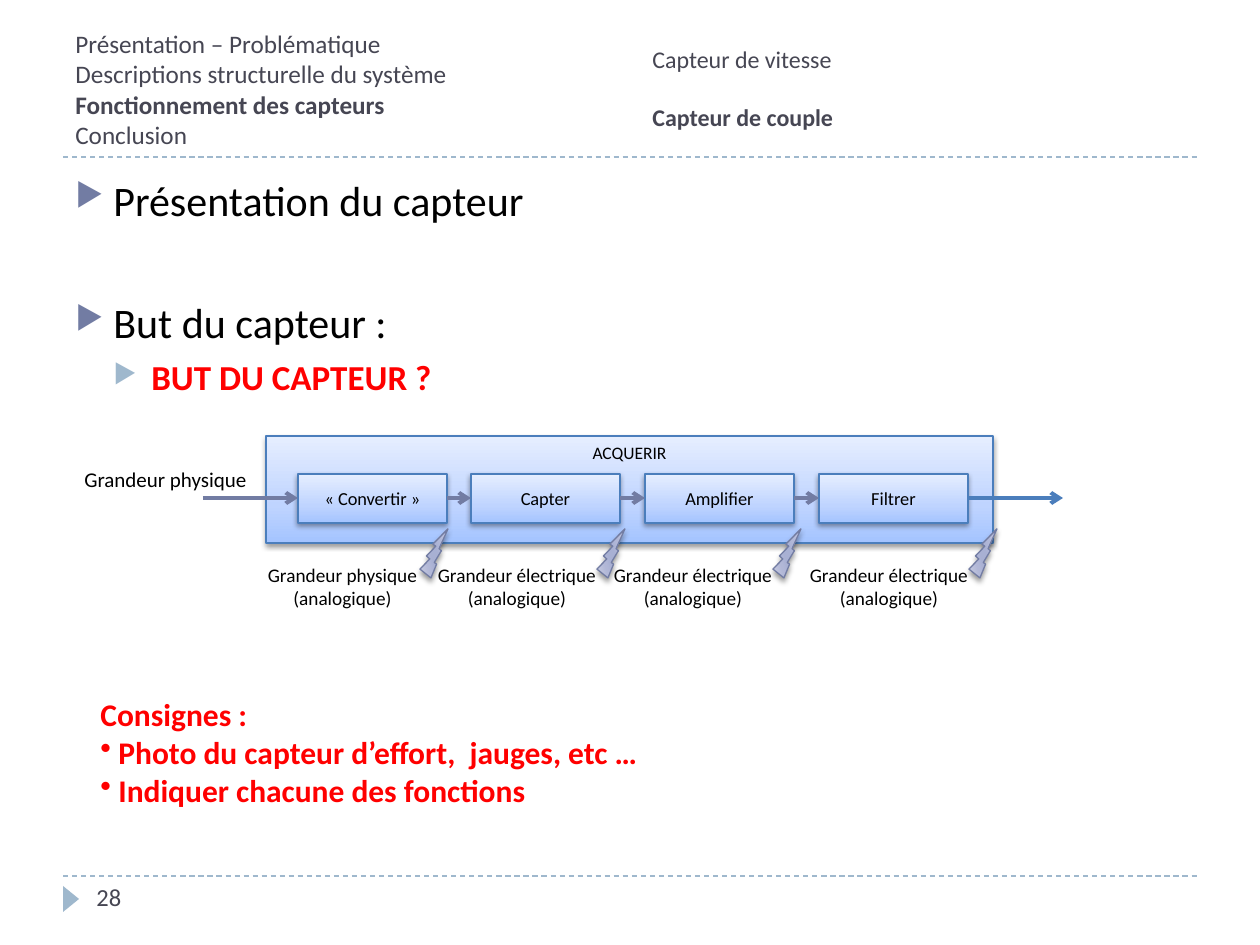
"""Build the slide on the torque sensor and its acquisition chain."""
from itertools import pairwise

from pptx import Presentation
from pptx.dml.color import RGBColor as RGB
from pptx.enum.dml import MSO_LINE as DASH
from pptx.enum.shapes import MSO_CONNECTOR as LINK, MSO_SHAPE as SHAPE
from pptx.enum.text import MSO_ANCHOR as ANCHOR, MSO_AUTO_SIZE as FIT, PP_ALIGN as ALIGN
from pptx.oxml.ns import qn
from pptx.oxml.xmlchemy import OxmlElement as Xml
from pptx.util import Emu, Pt

PX = 914400 / 126
THEME = {
    "font": "Calibri",
    "black": "000000", "heading": "464653", "alert": "FF0000",
    "pale": "9FB8CD", "violet": "727CA3", "blue": "4B7EBC",
    "block_fill": [(0, "A4C4FF"), (35, "BFD4FF"), (100, "E6EEFF")],
    "bolt_fill": [(0, "C9CDE2"), (30, "B1B7D7"), (45, "A8B0D3"),
                  (55, "A8B0D3"), (73, "B1B7D7"), (100, "C9CDE2")],
    "title": 14.4, "subtitle": 13.7, "number": 14, "body": 24, "goal": 20,
    "task": 18, "input": 12, "note": 11, "block": 10.5, "frame": 10,
}

deck = Presentation()
deck.slide_width, deck.slide_height = Emu(round(1260 * PX)), Emu(round(945 * PX))
slide = deck.slides.add_slide(deck.slide_layouts[6])
shapes = slide.shapes


def write(shape, lines, size, color="black", bold=False, align=ALIGN.LEFT, **frame_format):
    """Fill a shape with paragraphs and return them."""
    frame = shape.text_frame
    for name, value in {"word_wrap": True, "vertical_anchor": ANCHOR.TOP, **frame_format}.items():
        setattr(frame, name, value)
    frame.text = "\n".join(lines)
    for paragraph in frame.paragraphs:
        paragraph.alignment = align
        for run in paragraph.runs:
            run.font.color.rgb = RGB.from_string(THEME[color])
            for name, value in {"name": THEME["font"], "size": Pt(THEME[size]), "bold": bold}.items():
                setattr(run.font, name, value)
    return frame.paragraphs


def glossy(kind, box, stops, angle, line, shadow):
    """Add a gradient shape with a soft shadow below it."""
    shape = shapes.add_shape(kind, *[Emu(round(n * PX)) for n in box])
    shape.fill.gradient()
    shape.fill.gradient_angle = angle
    shape.line.color.rgb, shape.line.width = RGB.from_string(THEME[line]), Pt(0.75)
    shape.shadow.inherit = False
    properties = shape._element.spPr
    stop_list = properties.find(qn("a:gradFill")).find(qn("a:gsLst"))
    stop_list.clear()
    outer = Xml("a:outerShdw")
    alpha, blur, distance = shadow
    for name, value in {"blurRad": Pt(blur), "dist": Pt(distance), "dir": 90 * 60000, "rotWithShape": 0}.items():
        outer.set(name, str(int(value)))
    properties.find(qn("a:effectLst")).append(outer)
    tints = [(stop_list, color, position, None) for position, color in stops]
    for parent, color, position, opacity in [*tints, (outer, THEME["black"], None, alpha)]:
        tint = Xml("a:srgbClr")
        tint.set("val", color)
        if opacity is None:
            stop = Xml("a:gs")
            stop.set("pos", str(position * 1000))
            parent.append(stop)
            stop.append(tint)
        else:
            transparency = Xml("a:alpha")
            transparency.set("val", str(opacity * 1000))
            tint.append(transparency)
            parent.append(tint)
    return shape


marker = shapes.add_shape(SHAPE.ISOSCELES_TRIANGLE, *[Emu(round(n * PX)) for n in (58, 891, 26, 16)])
marker.rotation = 90
marker.shadow.inherit = False
marker.fill.solid()
marker.fill.fore_color.rgb = RGB.from_string(THEME["pale"])
marker.line.fill.background()

centred = {"vertical_anchor": ANCHOR.MIDDLE}
growing = {"auto_size": FIT.SHAPE_TO_FIT_TEXT}
flush = {f"margin_{side}": 0 for side in ("left", "top", "right", "bottom")}
texts = {
    "outline": ((63, 21, 557, 136), ["Présentation – Problématique\vDescriptions structurelle du système\v"
                                     "Fonctionnement des capteurs\vConclusion"], "title", "heading", centred),
    "number": ((84, 876, 273, 50), ["28"], "number", "heading", {}),
    "content": ((63, 168, 1134, 682), ["Présentation du capteur", "But du capteur :", "BUT DU CAPTEUR ?"],
                "body", "black", {}),
    "sensors": ((640, 20, 557, 136), ["Capteur de vitesse", "Capteur de couple"], "subtitle", "heading", centred),
    "tasks": ((88, 689, 1092, 127), ["Consignes :", "Photo du capteur d’effort,  jauges, etc …",
                                     "Indiquer chacune des fonctions"], "task", "alert", {"bold": True, **growing}),
    "input": ((72, 460, 190, 38), ["Grandeur physique"], "input", "black", {"word_wrap": False, **growing}),
}
written = {}
for part, (box, lines, size, color, options) in texts.items():
    area = shapes.add_textbox(*[Emu(round(n * PX)) for n in box])
    written[part] = write(area, lines, size, color, **options)

written["outline"][0].runs[2].font.bold = True
written["sensors"][1].runs[0].font.bold = True
written["sensors"][1].space_before = Pt(16.7)
goal = written["content"][2]
goal.level = 1
for name, value in {"bold": True, "size": Pt(THEME["goal"])}.items():
    setattr(goal.runs[0].font, name, value)
goal.runs[0].font.color.rgb = RGB.from_string(THEME["alert"])
for paragraph, space in zip(written["content"], (6, 41.3, 5)):
    paragraph.space_before = Pt(space)

bullets = [(item, margin, 38, color, 76, "▶")
           for item, margin, color in zip(written["content"], (38, 38, 76), ("violet", "violet", "pale"))]
bullets += [(item, 18, 18, "alert", 100, "•") for item in written["tasks"][1:]]
for paragraph, margin, hanging, color, percent, symbol in bullets:
    layout = paragraph._p.get_or_add_pPr()
    layout.set("marL", str(round(margin * PX)))
    layout.set("indent", str(round(-hanging * PX)))
    tint, scale, char = Xml("a:buClr"), Xml("a:buSzPct"), Xml("a:buChar")
    rgb = Xml("a:srgbClr")
    rgb.set("val", THEME[color])
    tint.append(rgb)
    scale.set("val", str(percent * 1000))
    char.set("char", symbol)
    layout.extend([tint, scale, char])

BLOCK_SHADOW, BOLT_SHADOW = (38, 3.1, 1.6), (40, 3, 2)
acquire = glossy(SHAPE.RECTANGLE, (266, 436, 727, 107), THEME["block_fill"], 90, "blue", BLOCK_SHADOW)
write(acquire, ["ACQUERIR"], "frame", align=ALIGN.CENTER)

stages = ["« Convertir »", "Capter", "Amplifier", "Filtrer"]
stage_width = 149
stage_lefts = [298 + 521 * i // 3 for i in range(len(stages))]
for left, stage in zip(stage_lefts, stages):
    block = glossy(SHAPE.RECTANGLE, (left, 474, stage_width, 49), THEME["block_fill"], 90, "blue", BLOCK_SHADOW)
    write(block, [stage], "block", align=ALIGN.CENTER, **centred)

rules = [(63, 1197, y, "pale", 0.75, False) for y in (157, 876)]
flows = [(203, stage_lefts[0], 498, "violet", 2.25, True),
         (stage_lefts[-1] + stage_width, 1063, 498, "blue", 2.25, True)]
flows += [(left + stage_width, following, 498, "violet", 2.25, True) for left, following in pairwise(stage_lefts)]
for start, end, y, color, width, is_arrow in rules + flows:
    link = shapes.add_connector(LINK.STRAIGHT, *[Emu(round(n * PX)) for n in (start, y, end, y)])
    link.line.color.rgb, link.line.width = RGB.from_string(THEME[color]), Pt(width)
    if is_arrow:
        head = Xml("a:tailEnd")
        head.set("type", "arrow")
        link.line._get_or_add_ln().append(head)
    else:
        link.line.dash_style = DASH.DASH
    link._element.spPr.append(Xml("a:effectLst"))

notes = [(265, 155, "physique"), (437, 160, "électrique"), (613, 160, "électrique"), (809, 160, "électrique")]
for left, width, quantity in notes:
    note = shapes.add_textbox(*[Emu(round(n * PX)) for n in (left, 563, width, 47)])
    write(note, [f"Grandeur {quantity}", "(analogique)"], "note", align=ALIGN.CENTER, **growing, **flush)
    bolt = glossy(SHAPE.LIGHTNING_BOLT, (left + width, 529, 28, 49), THEME["bolt_fill"], 344, "violet", BOLT_SHADOW)
    bolt._element.spPr.find(qn("a:xfrm")).set("flipV", "1")

deck.save("out.pptx")
